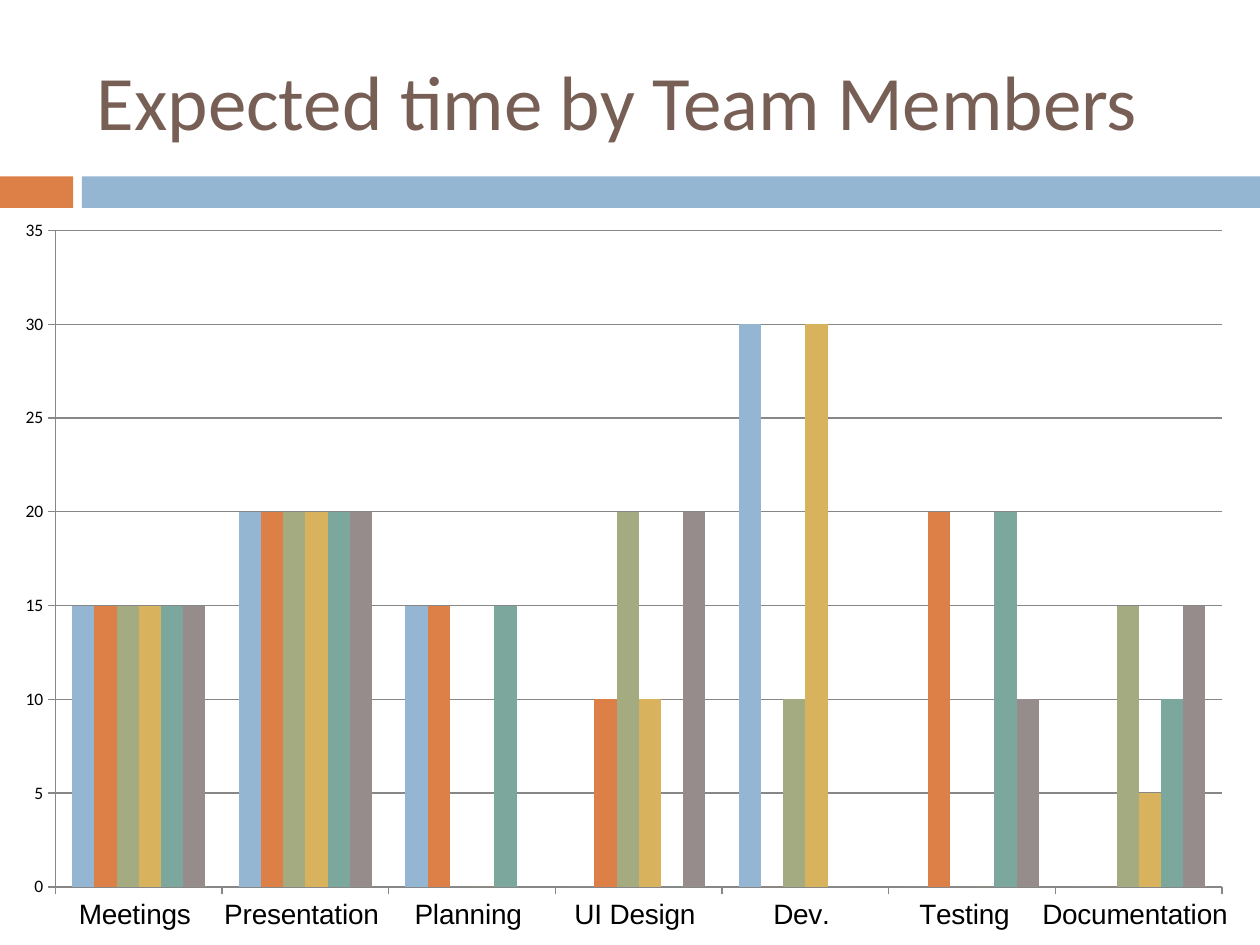
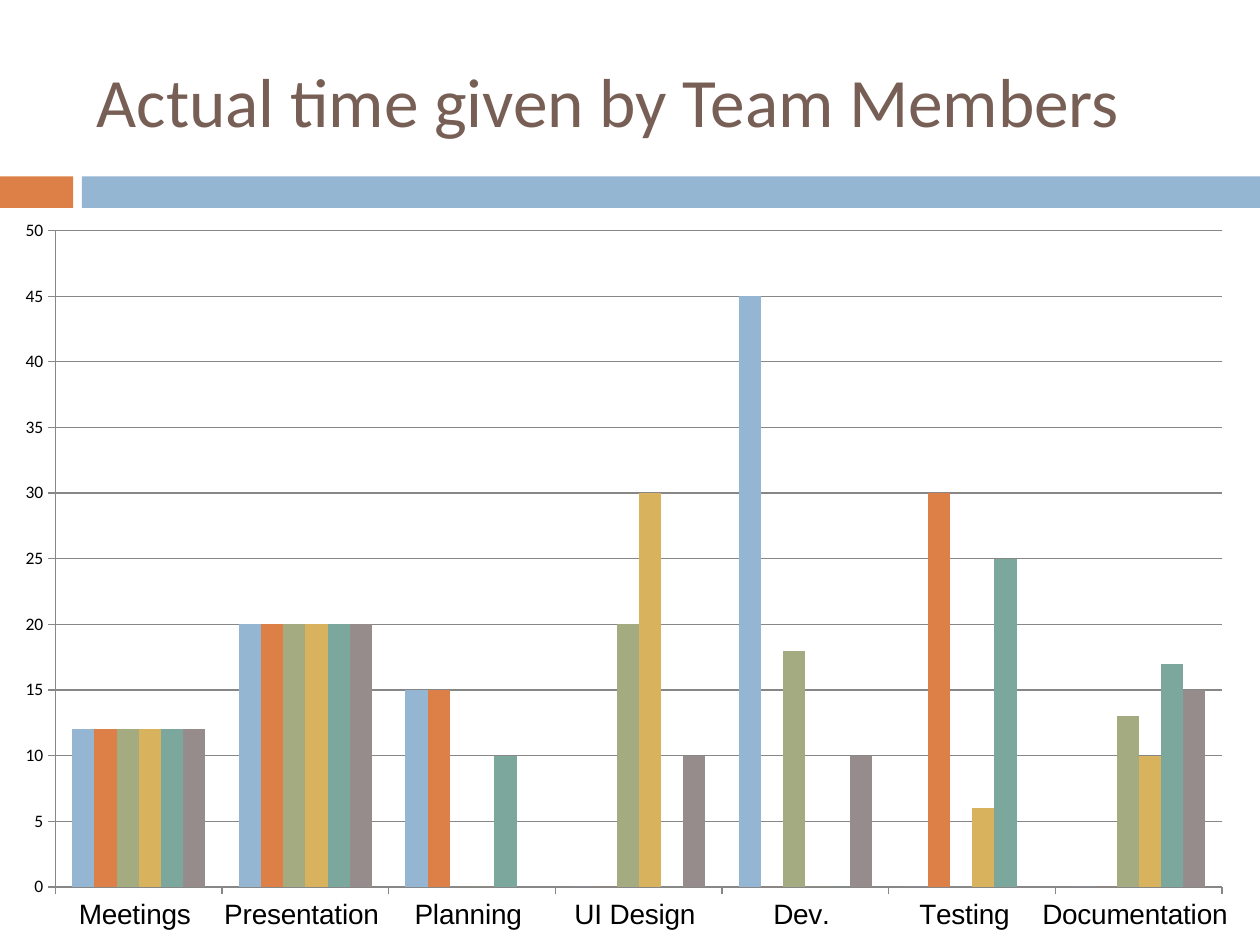
from pptx import Presentation
from pptx.chart.data import CategoryChartData
from pptx.dml.color import RGBColor
from pptx.enum.chart import XL_CHART_TYPE as ChartType, XL_TICK_MARK as TickMark
from pptx.enum.shapes import MSO_SHAPE as Shape
from pptx.enum.text import MSO_ANCHOR as Anchor
from pptx.oxml import parse_xml
from pptx.oxml.ns import nsdecls, qn
from pptx.util import Inches, Pt

BLUE, ORANGE, BROWN, GRAY = "94B6D2", "DD8047", "775F55", "878787"
MEMBER_COLORS = [BLUE, ORANGE, "A5AB81", "D8B25C", "7BA79D", "968C8C"]
BANDS = [(0, 0.58, ORANGE), (0.65, 9.35, BLUE)]
TASKS = ["Meetings ", "Presentation ", "Planning ", "UI Design ", "Dev. ",
         "Testing  ", "Documentation "]
CHART_WIDTH, CHART_HEIGHT = 10, 5.86
PLOT = {"x": 0.44 / CHART_WIDTH, "y": 0.19 / CHART_HEIGHT,
        "w": 9.26 / CHART_WIDTH, "h": 5.21 / CHART_HEIGHT}

PAGES = [
    ("Expected time by Team Members", 44, 35, [
        [15, 20, 15, 0, 30, 0, 0],
        [15, 20, 15, 10, 0, 20, 0],
        [15, 20, 0, 20, 10, 0, 15],
        [15, 20, 0, 10, 30, 0, 5],
        [15, 20, 15, 0, 0, 20, 10],
        [15, 20, 0, 20, 0, 10, 15],
    ]),
    ("Actual time given by Team Members", 39.6, 50, [
        [12, 20, 15, 0, 45, 0, 0],
        [12, 20, 15, 0, 0, 30, 0],
        [12, 20, 0, 20, 18, 0, 13],
        [12, 20, 0, 30, 0, 6, 10],
        [12, 20, 10, 0, 0, 25, 17],
        [12, 20, 0, 10, 10, 0, 15],
    ]),
]


def paint(target, color):
    target.solid()
    target.fore_color.rgb = RGBColor.from_string(color)


deck = Presentation()
deck.slide_width, deck.slide_height = Inches(10), Inches(7.5)

for title, title_size, axis_top, hours in PAGES:
    page = deck.slides.add_slide(deck.slide_layouts[6])
    paint(page.background.fill, "FFFFFF")

    for left, width, color in BANDS:
        band = page.shapes.add_shape(Shape.RECTANGLE, Inches(left), Inches(1.4),
                                     Inches(width), Inches(0.25))
        band.shadow.inherit = False
        paint(band.fill, color)
        band.line.fill.background()

    box = page.shapes.add_textbox(Inches(0.67), Inches(0.25), Inches(8.92), Inches(1.08))
    box.text_frame.word_wrap = True
    box.text_frame.vertical_anchor = Anchor.MIDDLE
    para = box.text_frame.paragraphs[0]
    para.text = title
    para.font.name = "Calibri"
    para.font.size = Pt(title_size)
    para.font.color.rgb = RGBColor.from_string(BROWN)

    data = CategoryChartData()
    data.categories = TASKS
    for number, values in enumerate(hours, 1):
        data.add_series(f"Series {number}", values)
    chart = page.shapes.add_chart(ChartType.COLUMN_CLUSTERED, Inches(0), Inches(1.64),
                                  Inches(CHART_WIDTH), Inches(CHART_HEIGHT), data).chart
    chart.has_title = False
    chart.has_legend = False
    chart.font.name = "Calibri"
    chart.font.size = Pt(10)
    chart.font.color.rgb = RGBColor.from_string("000000")

    bars = chart.plots[0]
    bars.vary_by_categories = False
    bars.gap_width = 150
    bars.overlap = 0
    for series, color in zip(bars.series, MEMBER_COLORS):
        paint(series.format.fill, color)

    for axis in (chart.category_axis, chart.value_axis):
        axis.major_tick_mark = TickMark.OUTSIDE
        axis.minor_tick_mark = TickMark.NONE
        paint(axis.format.line.fill, GRAY)
    task_font = chart.category_axis.tick_labels.font
    task_font.name = "Arial"
    task_font.size = Pt(16)
    task_font.color.rgb = RGBColor.from_string("000000")
    hour_axis = chart.value_axis
    hour_axis.minimum_scale = 0
    hour_axis.maximum_scale = axis_top
    hour_axis.major_unit = 5
    hour_axis.has_major_gridlines = True
    paint(hour_axis.major_gridlines.format.line.fill, GRAY)

    plot_area = chart.element.find(".//" + qn("c:plotArea"))
    for layout in plot_area.findall(qn("c:layout")):
        plot_area.remove(layout)
    modes = "".join(f'<c:{side}Mode val="edge"/>' for side in "xy")
    places = "".join(f'<c:{side} val="{share:.4f}"/>' for side, share in PLOT.items())
    plot_area.insert(0, parse_xml(
        f'<c:layout {nsdecls("c")}><c:manualLayout><c:layoutTarget val="inner"/>'
        f'{modes}{places}</c:manualLayout></c:layout>'))

deck.save("out.pptx")
